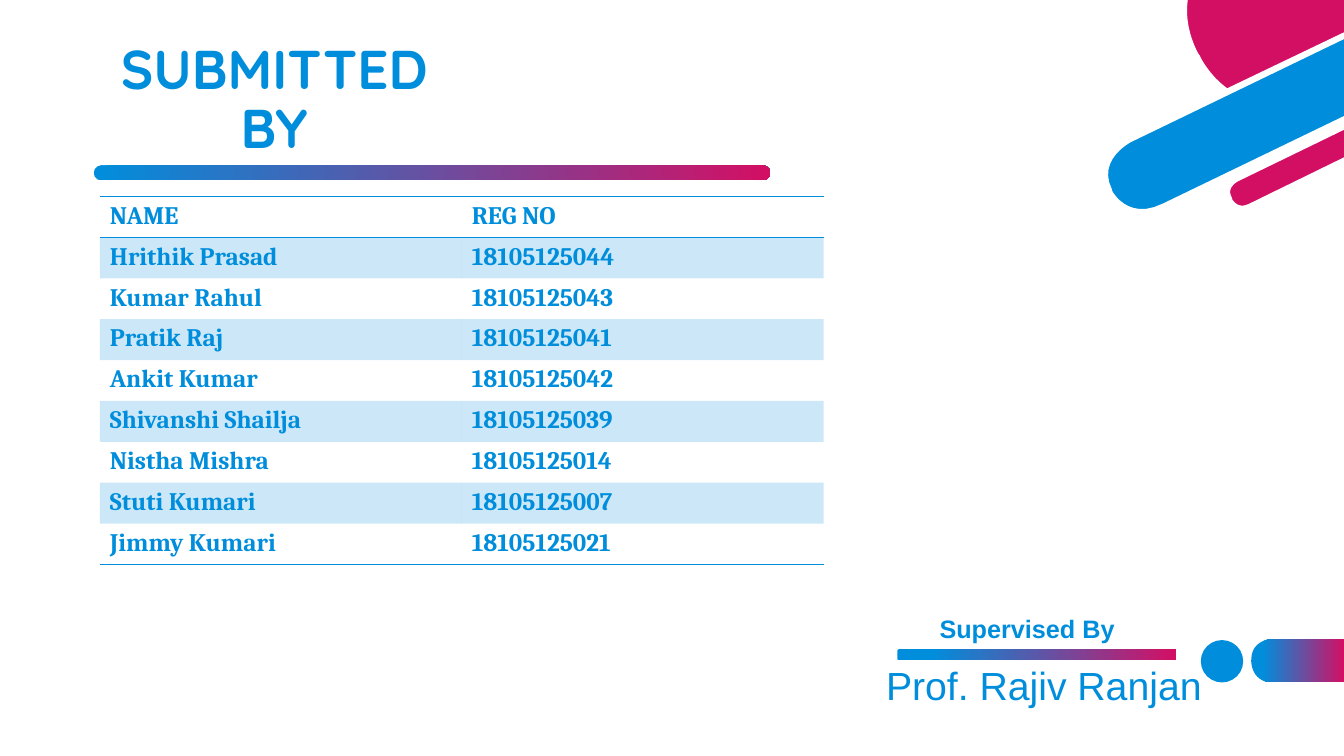
from lxml.etree import SubElement
from pptx import Presentation
from pptx.dml.color import RGBColor
from pptx.enum.shapes import MSO_SHAPE as Shape
from pptx.enum.text import MSO_ANCHOR as Anchor, MSO_AUTO_SIZE as AutoSize, PP_ALIGN as Align
from pptx.oxml.ns import qn
from pptx.util import Inches, Pt

BLUE = RGBColor(0x00, 0x8E, 0xDC)
PINK = RGBColor(0xD3, 0x0F, 0x64)
WHITE = RGBColor(0xFF, 0xFF, 0xFF)
PLAIN_TABLE = "{2D5ABB26-0587-4C30-8999-92F81FD0307C}"
CURVE_STEPS = 12

STUDENTS = [
    ("NAME", "REG NO"),
    ("Hrithik Prasad", "18105125044"),
    ("Kumar Rahul", "18105125043"),
    ("Pratik Raj", "18105125041"),
    ("Ankit Kumar", "18105125042"),
    ("Shivanshi Shailja", "18105125039"),
    ("Nistha Mishra", "18105125014"),
    ("Stuti Kumari", "18105125007"),
    ("Jimmy Kumari", "18105125021"),
]

DISC = [(11.88, 0.56), (11.88, 0.56, 11.97, 0.76, 12.17, 0.9), (13.38, 0.32),
        (13.38, -0.05), (11.76, -0.05), (11.76, 0),
        (11.74, 0.15, 11.76, 0.33, 11.86, 0.53)]
WIDE_BAR = [(11.21, 1.39), (11.21, 1.39, 10.85, 1.57, 11.01, 1.89), (11.01, 1.9),
            (11.01, 1.9, 11.17, 2.22, 11.54, 2.04), (13.38, 1.15), (13.38, 0.34)]
NARROW_BAR = [(13.38, 1.24), (12.27, 1.78), (12.27, 1.78, 12.13, 1.85, 12.2, 1.97),
              (12.2, 1.98), (12.2, 1.98, 12.26, 2.11, 12.4, 2.04), (13.38, 1.56)]
CORNER_TAB = [(12.62, 6.77), (13.33, 6.77), (13.33, 6.34), (12.62, 6.34),
              (12.62, 6.34, 12.41, 6.34, 12.41, 6.55), (12.41, 6.56),
              (12.41, 6.56, 12.41, 6.77, 12.62, 6.77)]


def trace(outline):
    points = [outline[0]]
    for step in outline[1:]:
        if len(step) == 2:
            points.append(step)
            continue
        start, *rest = points[-1], step[:2], step[2:4], step[4:]
        for i in range(1, CURVE_STEPS + 1):
            t = i / CURVE_STEPS
            weights = ((1 - t) ** 3, 3 * t * (1 - t) ** 2, 3 * t * t * (1 - t), t ** 3)
            points.append(tuple(sum(w * p[axis] for w, p in zip(weights, (start, *rest)))
                                for axis in (0, 1)))
    return [(Inches(x), Inches(y)) for x, y in points]


def fade(shape, first_stop=0):
    shape.fill.gradient()
    shape.fill.gradient_angle = 0
    for stop, color, position in zip(shape.fill.gradient_stops, (BLUE, PINK), (first_stop, 1)):
        stop.color.rgb = color
        stop.position = position


def add_outline(slide, outline, color=None):
    points = trace(outline)
    builder = slide.shapes.build_freeform(*points[0])
    builder.add_line_segments(points[1:])
    shape = builder.convert_to_shape()
    shape.shadow.inherit = False
    if color is None:
        fade(shape, 0.12)
        shape.line.fill.background()
    else:
        shape.fill.solid()
        shape.fill.fore_color.rgb = color
        shape.line.color.rgb = WHITE
        shape.line.width = Pt(3)


def add_preset(slide, kind, box):
    shape = slide.shapes.add_shape(kind, *map(Inches, box))
    shape.shadow.inherit = False
    shape.line.fill.background()
    return shape


def write(paragraph, text, font, size, bold):
    run = paragraph.add_run()
    run.text = text
    run.font.name = font
    run.font.size = Pt(size)
    run.font.bold = bold
    run.font.color.rgb = BLUE


def add_title(slide, text):
    title = slide.shapes.title
    title.left, title.top, title.width, title.height = map(Inches, (0.86, 0.9, 3.72, 0.74))
    frame = title.text_frame
    frame.word_wrap = True
    frame.auto_size = AutoSize.NONE
    frame.vertical_anchor = Anchor.BOTTOM
    paragraph = frame.paragraphs[0]
    paragraph.alignment = Align.CENTER
    paragraph.line_spacing = 0.9
    write(paragraph, text, "Quicksand", 39, True)


def add_caption(slide, box, text, size, bold):
    frame = slide.shapes.add_textbox(*map(Inches, box)).text_frame
    frame.word_wrap = True
    paragraph = frame.paragraphs[0]
    paragraph.line_spacing = 0.9
    paragraph.space_before = Pt(10)
    write(paragraph, text, "Arial", size, bold)


def rule_cell(cell, sides):
    properties = cell._tc.get_or_add_tcPr()
    for side in sides:
        line = SubElement(properties, qn(f"a:ln{side}"), w=str(Pt(1)))
        SubElement(SubElement(line, qn("a:solidFill")), qn("a:srgbClr"), val=str(BLUE))


def tint_cell(cell):
    cell.fill.solid()
    cell.fill.fore_color.rgb = BLUE
    color = cell._tc.tcPr.find(f"{qn('a:solidFill')}/{qn('a:srgbClr')}")
    SubElement(color, qn("a:alpha"), val="20000")


def add_student_table(slide):
    last = len(STUDENTS) - 1
    table = slide.shapes.add_table(len(STUDENTS), 2, Inches(0.99), Inches(1.95),
                                   Inches(7.18), Inches(3.65)).table
    table._tbl.tblPr.find(qn("a:tableStyleId")).text = PLAIN_TABLE
    table.horz_banding = False
    for row, student in enumerate(STUDENTS):
        for column, text in enumerate(student):
            cell = table.cell(row, column)
            write(cell.text_frame.paragraphs[0], text, "Cambria", 18, True)
            rule_cell(cell, {0: "TB", last: "B"}.get(row, ""))
            if row % 2:
                tint_cell(cell)
            else:
                cell.fill.background()


def main():
    deck = Presentation()
    deck.slide_width, deck.slide_height = Inches(13.33), Inches(7.5)
    slide = deck.slides.add_slide(deck.slide_layouts[5])

    dot = add_preset(slide, Shape.OVAL, (11.91, 6.35, 0.42, 0.42))
    dot.fill.solid()
    dot.fill.fore_color.rgb = BLUE
    add_outline(slide, CORNER_TAB)
    for outline, color in ((DISC, PINK), (WIDE_BAR, BLUE), (NARROW_BAR, PINK)):
        add_outline(slide, outline, color)

    title_rule = add_preset(slide, Shape.ROUNDED_RECTANGLE, (0.93, 1.64, 6.71, 0.15))
    title_rule.adjustments[0] = 0.5
    fade(title_rule)

    add_student_table(slide)
    add_title(slide, "SUBMITTED BY")
    add_caption(slide, (8.69, 6.56, 4.37, 0.8), "Prof. Rajiv Ranjan", 28, False)
    add_caption(slide, (9.22, 6.07, 2.72, 0.8), "Supervised By", 18, True)
    fade(add_preset(slide, Shape.ROUNDED_RECTANGLE, (8.9, 6.44, 2.77, 0.11)), 0.12)

    deck.save("out.pptx")


if __name__ == "__main__":
    main()
